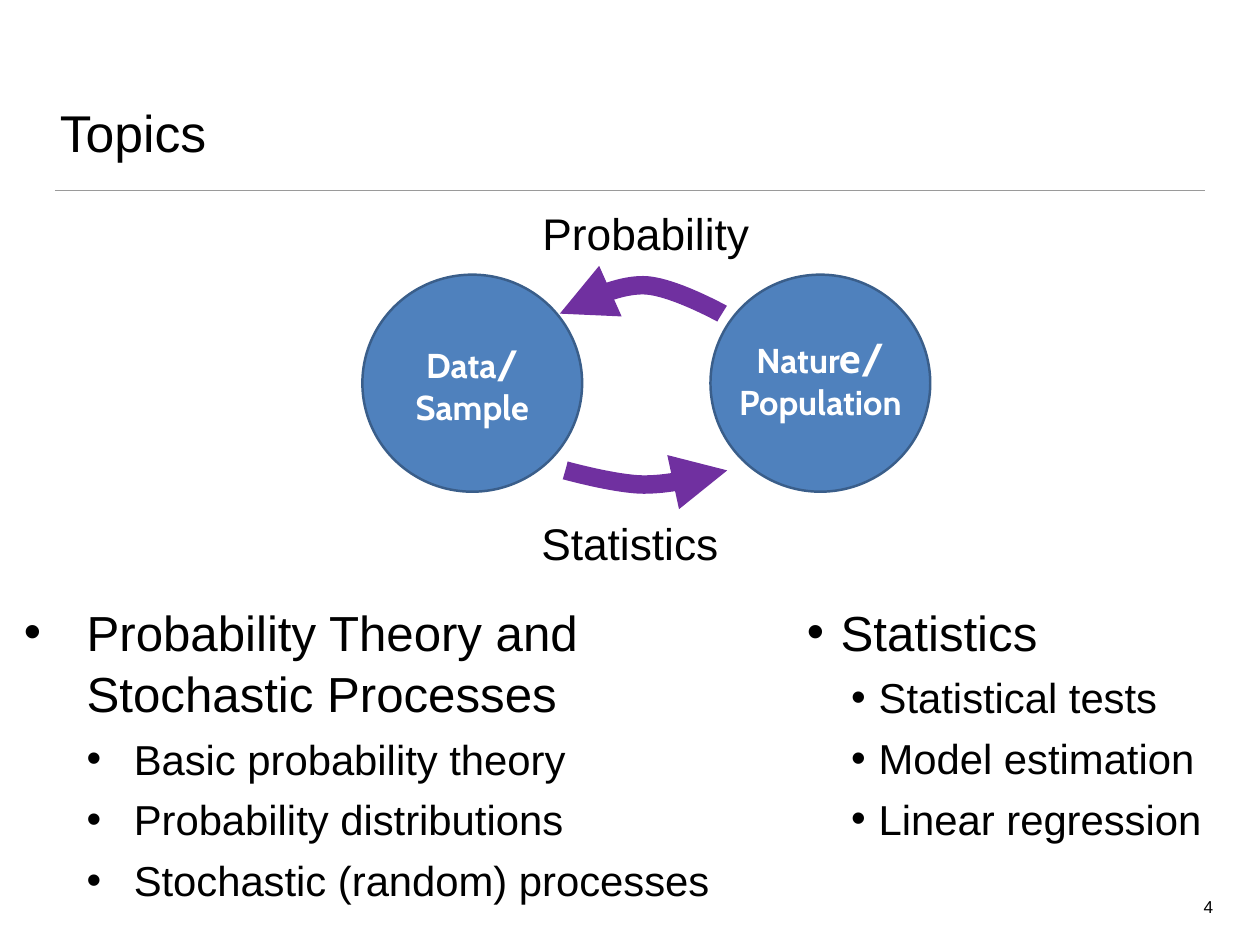
from dataclasses import dataclass

from lxml import etree
from pptx import Presentation
from pptx.dml.color import RGBColor
from pptx.enum.shapes import MSO_SHAPE
from pptx.enum.text import MSO_ANCHOR, MSO_AUTO_SIZE, PP_ALIGN
from pptx.oxml.ns import qn
from pptx.util import Pt

OVAL = MSO_SHAPE.OVAL
TOP, MIDDLE, BOTTOM = MSO_ANCHOR.TOP, MSO_ANCHOR.MIDDLE, MSO_ANCHOR.BOTTOM
LEFT, CENTER, RIGHT = PP_ALIGN.LEFT, PP_ALIGN.CENTER, PP_ALIGN.RIGHT
NO_FIT = MSO_AUTO_SIZE.NONE
TWO_CONTENT = 3
CURVE_STEPS = 24


@dataclass(frozen=True)
class Theme:
    text_font: str = "Arial"
    node_font: str = "Cabin"
    ink: str = "000000"
    rule: str = "9A9A9A"
    node: str = "4F81BD"
    node_edge: str = "3A5E8A"
    node_text: str = "FFFFFF"
    arrow: str = "7030A0"
    title_size: int = 42
    list_sizes: tuple = (40, 34)
    label_size: int = 36
    node_size: int = 28
    number_size: int = 14


def rgb(value):
    return RGBColor.from_string(value)


def add_run(p, text, *, font, size, color, bold=False):
    r = p.add_run()
    r.text = text
    r.font.name = font
    r.font.size = Pt(size)
    r.font.bold = bold
    r.font.color.rgb = rgb(color)


def set_frame(tf, *, insets, anchor=TOP, wrap=True):
    tf.auto_size = NO_FIT
    tf.word_wrap = wrap
    tf.vertical_anchor = anchor
    tf.margin_left, tf.margin_top, tf.margin_right, tf.margin_bottom = map(Pt, insets)


def place(sp, box):
    sp.left, sp.top, sp.width, sp.height = map(Pt, box)


def bezier(start, c1, c2, end):
    for i in range(1, CURVE_STEPS + 1):
        t = i / CURVE_STEPS
        u = 1 - t
        yield tuple(
            u**3 * a + 3 * u * u * t * b + 3 * u * t * t * c + t**3 * d
            for a, b, c, d in zip(start, c1, c2, end)
        )


class Deck:
    def __init__(self, theme, width, height):
        self.theme = theme
        self.prs = Presentation()
        self.prs.slide_width, self.prs.slide_height = Pt(width), Pt(height)
        self.s = self.prs.slides.add_slide(self.prs.slide_layouts[TWO_CONTENT])

    def title(self, text, box):
        sp = self.s.shapes.title
        place(sp, box)
        set_frame(sp.text_frame, insets=(4,) * 4, anchor=BOTTOM)
        p = sp.text_frame.paragraphs[0]
        p.alignment = LEFT
        add_run(p, text, font=self.theme.text_font,
                size=self.theme.title_size, color=self.theme.ink)

    def bullets(self, idx, box, items, indents):
        sp = self.s.placeholders[idx]
        place(sp, box)
        tf = sp.text_frame
        set_frame(tf, insets=(10, 8, 10, 5))
        for i, text in enumerate(items):
            level = min(i, 1)
            p = tf.add_paragraph() if i else tf.paragraphs[0]
            p.level = level
            p.alignment = LEFT
            p.line_spacing = 1.04
            p.space_before = Pt(7 if i else 0)
            margin, hanging = indents[level]
            pPr = p._p.get_or_add_pPr()
            pPr.set("marL", str(Pt(margin)))
            pPr.set("indent", str(-Pt(hanging)))
            etree.SubElement(pPr, qn("a:buFont")).set("typeface", self.theme.text_font)
            etree.SubElement(pPr, qn("a:buChar")).set("char", "•")
            add_run(p, text, font=self.theme.text_font,
                    size=self.theme.list_sizes[level], color=self.theme.ink)

    def label(self, text, box, size, align=CENTER, insets=(7, 4, 7, 4)):
        sp = self.s.shapes.add_textbox(*map(Pt, box))
        set_frame(sp.text_frame, insets=insets, wrap=False)
        p = sp.text_frame.paragraphs[0]
        p.alignment = align
        add_run(p, text, font=self.theme.text_font, size=size, color=self.theme.ink)

    def node(self, box, lines, lift=0):
        sp = self.s.shapes.add_shape(OVAL, *map(Pt, box))
        sp.shadow.inherit = False
        sp.fill.solid()
        sp.fill.fore_color.rgb = rgb(self.theme.node)
        sp.line.color.rgb = rgb(self.theme.node_edge)
        sp.line.width = Pt(2)
        tf = sp.text_frame
        set_frame(tf, insets=(4, 4, 4, 4 + 2 * lift), anchor=MIDDLE, wrap=False)
        for i, runs in enumerate(lines):
            p = tf.add_paragraph() if i else tf.paragraphs[0]
            p.alignment = CENTER
            for text, size in runs:
                add_run(p, text, font=self.theme.node_font, size=size,
                        color=self.theme.node_text, bold=True)

    def curved_arrow(self, tip, *curves):
        fb = self.s.shapes.build_freeform(*map(Pt, tip))
        start = tip
        points = []
        for curve in curves:
            points += bezier(start, *curve)
            start = curve[-1]
        fb.add_line_segments([(Pt(x), Pt(y)) for x, y in points], close=False)
        sp = fb.convert_to_shape()
        sp.shadow.inherit = False
        sp.fill.background()
        sp.line.color.rgb = rgb(self.theme.arrow)
        sp.line.width = Pt(15)
        ln = sp.line._get_or_add_ln()
        etree.SubElement(ln, qn("a:headEnd")).set("type", "triangle")

    def rule(self, x, y, width):
        sp = self.s.shapes.add_connector(1, Pt(x), Pt(y), Pt(x + width), Pt(y))
        sp.line.color.rgb = rgb(self.theme.rule)
        sp.line.width = Pt(1)
        etree.SubElement(sp._element.spPr, qn("a:effectLst"))


def main():
    theme = Theme()
    deck = Deck(theme, 1024, 768)
    deck.rule(44.6, 154.8, 934.6)
    deck.title("Topics", (44.6, 26, 934, 110))

    small = theme.node_size
    deck.node((294.5, 223.2, 178.6, 176.4),
              [[("Data", small), ("/", 32)], [("Sample", small)]])
    deck.node((577.4, 223.2, 178.6, 176.4),
              [[("Natur", small), ("e/", 34)], [("Population", small)]], lift=5)
    deck.curved_arrow((455, 254.9),
                      ((478, 243.4), (501, 231.8), (522.7, 231.8)),
                      ((545, 231.8), (586.8, 254.9), (586.8, 254.9)))
    deck.curved_arrow((591, 382.3),
                      ((568, 388), (545, 393.8), (523.4, 393.8)),
                      ((501, 393.8), (459.4, 382.3), (459.4, 382.3)))
    deck.label("Probability", (432.7, 163.4, 184.3, 51), theme.label_size)
    deck.label("Statistics", (432, 415.4, 159.8, 51), theme.label_size)

    deck.bullets(1, (9.4, 479.5, 580.3, 278),
                 ["Probability Theory and Stochastic Processes",
                  "Basic probability theory",
                  "Probability distributions",
                  "Stochastic (random) processes"],
                 ((51, 51), (89.3, 38.2)))
    deck.bullets(2, (645.8, 479.5, 356.4, 278),
                 ["Statistics", "Statistical tests",
                  "Model estimation", "Linear regression"],
                 ((27.4, 27.4), (58.3, 22.3)))
    deck.label("4", (973.4, 724.3, 16.6, 23.8), theme.number_size,
               align=RIGHT, insets=(4,) * 4)
    deck.prs.save("out.pptx")


if __name__ == "__main__":
    main()
